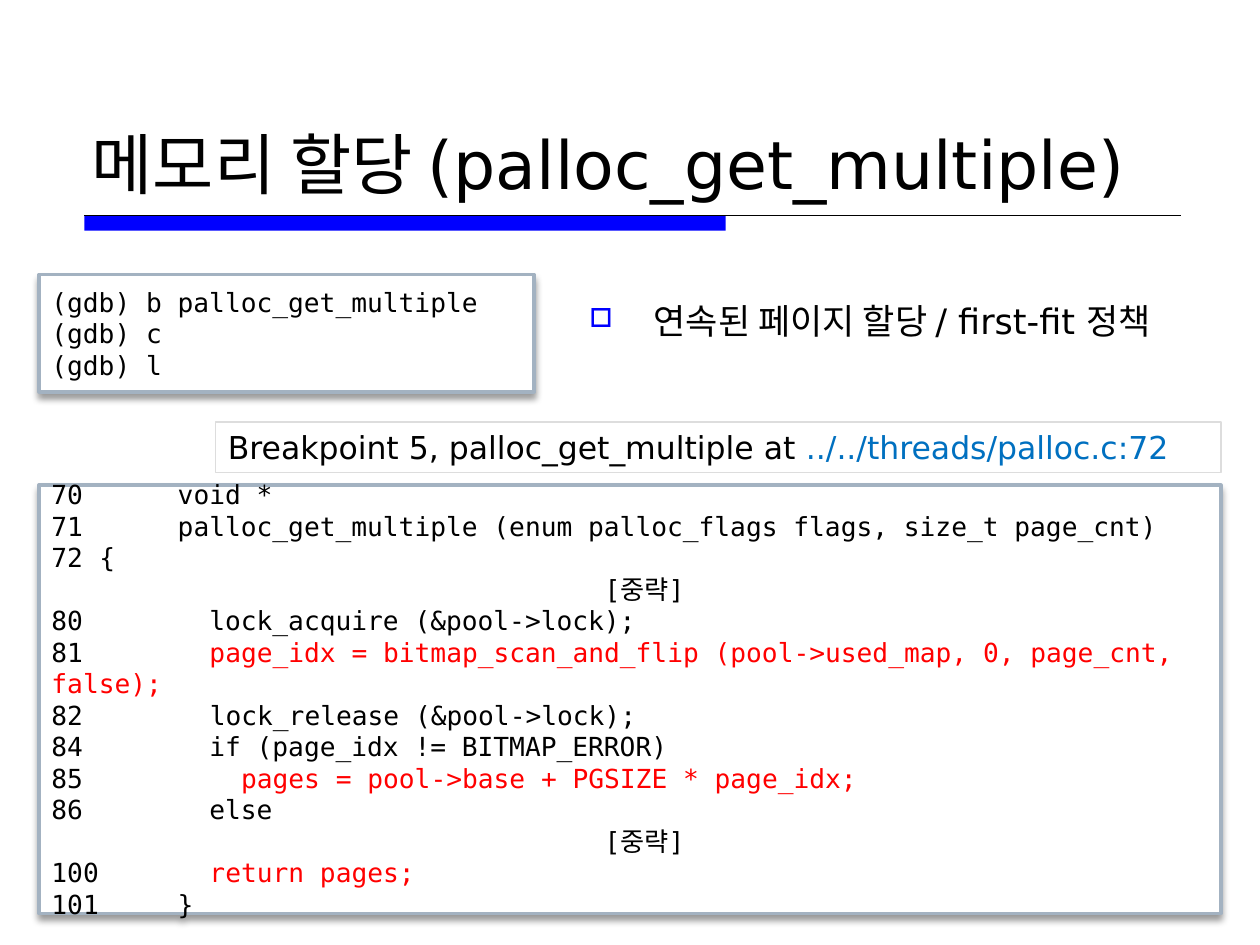
from lxml import etree
from pptx import Presentation
from pptx.dml.color import RGBColor
from pptx.enum.shapes import MSO_CONNECTOR, MSO_SHAPE
from pptx.enum.text import MSO_ANCHOR, PP_ALIGN
from pptx.oxml.ns import qn
from pptx.util import Inches, Pt

RECTANGLE = MSO_SHAPE.RECTANGLE
STRAIGHT = MSO_CONNECTOR.STRAIGHT
TOP, MIDDLE, BOTTOM = MSO_ANCHOR.TOP, MSO_ANCHOR.MIDDLE, MSO_ANCHOR.BOTTOM
LEFT = PP_ALIGN.LEFT

SANS, MONO = "DejaVu Sans", "DejaVu Sans Mono"
BLACK, WHITE, BLUE, RED = "000000", "FFFFFF", "0000FF", "FF0000"
LINK, FRAME, PALE = "0070C0", "A3B2C1", "DDDDDD"

TITLE = [{"runs": [("메모리 할당 (palloc_get_multiple)", BLACK)]}]
POLICY = [{"runs": [("연속된 페이지 할당 / first-fit 정책", BLACK)],
           "indent": (0.51, -0.51), "bullet": "□"}]
COMMANDS = [{"runs": [(line, BLACK)]} for line in
            ("(gdb) b palloc_get_multiple", "(gdb) c", "(gdb) l")]
BREAKPOINT = [{"runs": [("Breakpoint 5, palloc_get_multiple at ", BLACK),
                        ("../../threads/palloc.c:72", LINK)]}]
OMITTED = {"runs": [("[중략]", BLACK)], "indent": (4.39, 0)}
CODE = [
    {"runs": [("70      void *", BLACK)]},
    {"runs": [("71      palloc_get_multiple (enum palloc_flags flags, size_t page_cnt)", BLACK)]},
    {"runs": [("{", BLACK)], "indent": (0.38, -0.38), "number": 72},
    OMITTED,
    {"runs": [("80        lock_acquire (&pool->lock);", BLACK)]},
    {"runs": [("81        ", BLACK),
              ("page_idx = bitmap_scan_and_flip (pool->used_map, 0, page_cnt, false);", RED)]},
    {"runs": [("       lock_release (&pool->lock);", BLACK)],
     "indent": (0.38, -0.38), "number": 82},
    {"runs": [("84        if (page_idx != BITMAP_ERROR)", BLACK)]},
    {"runs": [("85          ", BLACK), ("pages = pool->base + PGSIZE * page_idx;", RED)]},
    {"runs": [("86        else", BLACK)]},
    OMITTED,
    {"runs": [("100       ", BLACK), ("return pages;", RED)]},
    {"runs": [("101     }", BLACK)]},
]


def color(value):
    return RGBColor.from_string(value)


def add_marker(properties, item):
    if "bullet" in item:
        bullet_color = etree.SubElement(properties, qn("a:buClr"))
        etree.SubElement(bullet_color, qn("a:srgbClr"), val=BLUE)
        etree.SubElement(properties, qn("a:buSzPct"), val="75000")
        etree.SubElement(properties, qn("a:buChar"), char=item["bullet"])
    elif "number" in item:
        etree.SubElement(properties, qn("a:buAutoNum"), type="arabicPlain",
                         startAt=str(item["number"]))


def write(shape, content, font_name, size, anchor):
    frame = shape.text_frame
    frame.word_wrap = True
    frame.vertical_anchor = anchor
    for index, item in enumerate(content):
        paragraph = frame.add_paragraph() if index else frame.paragraphs[0]
        paragraph.alignment = LEFT
        properties = paragraph._p.get_or_add_pPr()
        if "indent" in item:
            margin, indent = item["indent"]
            properties.set("marL", str(Inches(margin)))
            properties.set("indent", str(Inches(indent)))
        add_marker(properties, item)
        for text, text_color in item["runs"]:
            run = paragraph.add_run()
            run.text = text
            run.font.name = font_name
            run.font.size = Pt(size)
            run.font.color.rgb = color(text_color)


def add_text(slide, box, content, size, anchor):
    shape = slide.shapes.add_textbox(*map(Inches, box))
    write(shape, content, SANS, size, anchor)


def add_box(slide, box, fill=None, line=None, width=0.75):
    shape = slide.shapes.add_shape(RECTANGLE, *map(Inches, box))
    shape.shadow.inherit = False
    if fill:
        shape.fill.solid()
        shape.fill.fore_color.rgb = color(fill)
    else:
        shape.fill.background()
    if line:
        shape.line.color.rgb = color(line)
        shape.line.width = Pt(width)
    else:
        shape.line.fill.background()
    return shape


def add_code_box(slide, box, content):
    shape = add_box(slide, box, WHITE, FRAME, 2)
    effects = shape._element.spPr.find(qn("a:effectLst"))
    shadow = etree.SubElement(effects, qn("a:outerShdw"), blurRad=str(Pt(4)),
                              dist=str(Pt(3)), dir="5400000", rotWithShape="0")
    shade = etree.SubElement(shadow, qn("a:srgbClr"), val=BLACK)
    etree.SubElement(shade, qn("a:alpha"), val="40000")
    write(shape, content, MONO, 15, MIDDLE)


def add_title_rule(slide, left, top, right):
    add_box(slide, (left, top, 5.09, 0.12), BLUE)
    rule = slide.shapes.add_connector(
        STRAIGHT, Inches(left), Inches(top), Inches(right), Inches(top))
    rule.line.color.rgb = color(BLACK)
    rule.line.width = Pt(0.75)
    etree.SubElement(rule._element.spPr, qn("a:effectLst"))


def main():
    """Build the slide on page allocation with palloc_get_multiple."""
    presentation = Presentation()
    presentation.slide_width, presentation.slide_height = Inches(10), Inches(7.5)
    slide = presentation.slides.add_slide(presentation.slide_layouts[6])
    add_title_rule(slide, 0.67, 1.71, 9.37)
    add_text(slide, (0.63, 0.33, 8.75, 1.33), TITLE, 38, BOTTOM)
    add_text(slide, (4.58, 2.33, 5.2, 0.6), POLICY, 20, TOP)
    add_code_box(slide, (0.31, 3.85, 9.38, 3.4), CODE)
    add_code_box(slide, (0.31, 2.18, 3.93, 0.93), COMMANDS)
    location = add_box(slide, (1.71, 3.35, 7.98, 0.4), line=PALE)
    write(location, BREAKPOINT, SANS, 18, TOP)
    presentation.save("out.pptx")


if __name__ == "__main__":
    main()
